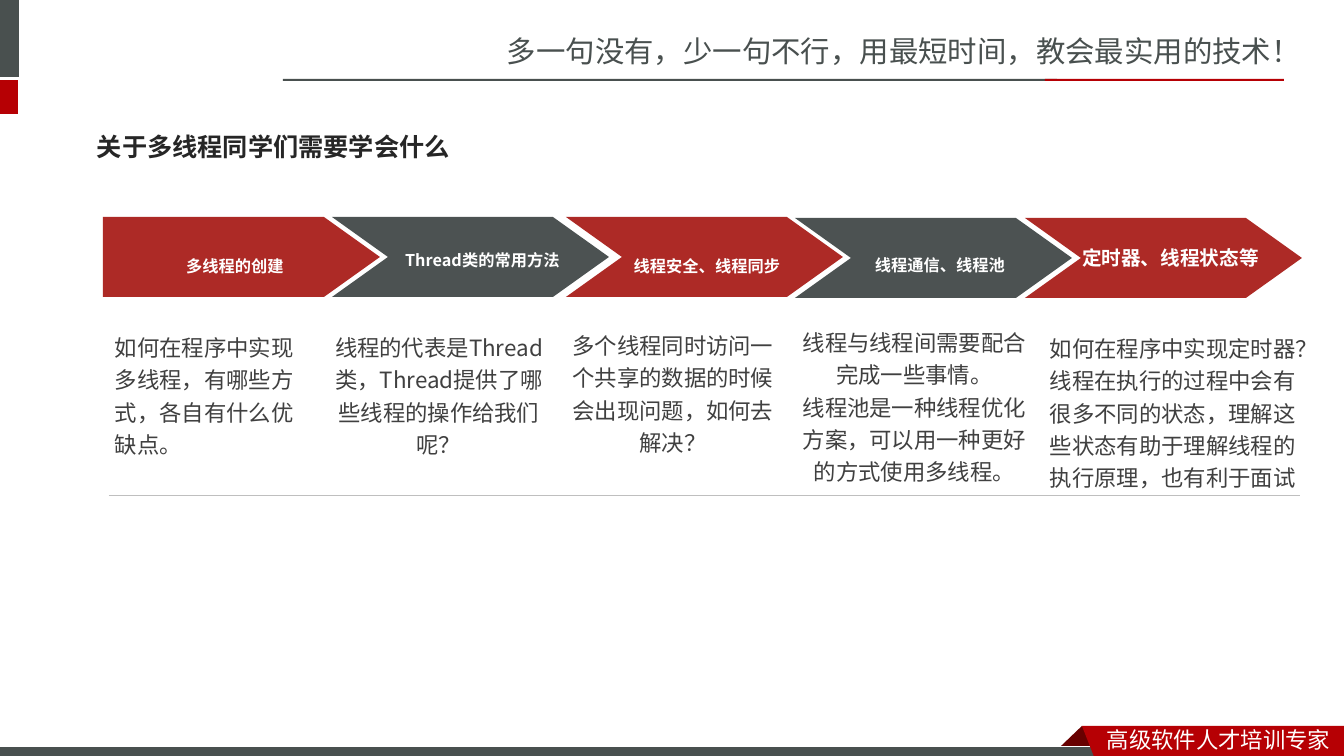
from pptx import Presentation
from pptx.dml.color import RGBColor
from pptx.enum import shapes, text
from pptx.util import Emu, Pt

PX = 914400 / 100.8
SLIDE_SIZE = (1344, 756)
COLORS = {
    "slate": "49504F", "red": "B60004", "maroon": "680000", "white": "FFFFFF",
    "step_red": "AD2A26", "step_grey": "4C5252", "body": "404040",
    "title": "262626", "rule": "BFBFBF",
}
SC, JP = "Noto Sans CJK SC", "Noto Sans CJK JP"
LEFT, CENTER = text.PP_ALIGN.LEFT, text.PP_ALIGN.CENTER
TOP, MIDDLE = text.MSO_ANCHOR.TOP, text.MSO_ANCHOR.MIDDLE

SLOGAN = ("多一句没有，少一句不行，用最短时间，教会最实用的技术！", (497, 28, 848, 47))
FOOTER = ("高级软件人才培训专家", (1097, 721, 247, 37))
TITLE = ("关于多线程同学们需要学会什么", (87, 118, 411, 57))

BARS = [
    ((-6, 0, 25, 77), "slate"),
    ((-6, 80, 24, 34), "red"),
    ((283, 79, 774, 2), "slate"),
    ((1045, 79, 239, 2), "red"),
]
FOOTER_BAR = (-1, 747, 1109, 12)
RIBBON_FOLD = [(1082, 726), (1104, 748), (1103, 749), (1060, 749), (1059, 748)]
RIBBON = [(1082, 726), (1344, 726), (1344, 760), (1095, 759)]
RULE = (109, 495, 1300, 495)

ARROW_HEIGHT, ARROW_BODY, ARROW_POINT = 80, 221, 56
STEPS = [
    {"arrow": (103, 217), "label": "多线程的创建", "label_box": (103, 239, 264, 36),
     "body": ["如何在程序中实现多线程，有哪些方式，各自有什么优缺点。"],
     "body_box": (105, 324, 214, 139), "align": LEFT},
    {"arrow": (332, 217), "label": "Thread类的常用方法", "label_box": (365, 238, 235, 33),
     "label_spacing": None,
     "body": ["线程的代表是Thread类，Thread提供了哪些线程的操作给我们呢？"],
     "body_box": (323, 324, 232, 139)},
    {"arrow": (566, 217), "label": "线程安全、线程同步", "label_box": (532, 239, 350, 36),
     "body": ["多个线程同时访问一个共享的数据的时候会出现问题，如何去解决？"],
     "body_box": (557, 322, 232, 139)},
    {"arrow": (795, 218), "label": "线程通信、线程池", "label_box": (765, 238, 350, 36),
     "body": ["线程与线程间需要配合完成一些事情。",
              "线程池是一种线程优化方案，可以用一种更好的方式使用多线程。"],
     "body_box": (790, 319, 249, 171)},
    {"arrow": (1025, 218), "label": "定时器、线程状态等", "label_box": (1053, 237, 235, 37),
     "label_size": 14, "baseline": None,
     "body": ["如何在程序中实现定时器？线程在执行的过程中会有很多不同的状态，"
              "理解这些状态有助于理解线程的执行原理，也有利于面试"],
     "body_box": (1040, 325, 277, 171), "align": LEFT},
]


def px(*lengths):
    return [Emu(round(length * PX)) for length in lengths]


def rgb(color):
    return RGBColor.from_string(COLORS[color])


def paint(shape, color, outline=None):
    shape.shadow.inherit = False
    shape.fill.solid()
    shape.fill.fore_color.rgb = rgb(color)
    if outline:
        shape.line.color.rgb = rgb(outline)
        shape.line.width = Pt(0.75)
    else:
        shape.line.fill.background()


def add_bar(slide, box, color, outline=None):
    bar = slide.shapes.add_shape(shapes.MSO_SHAPE.RECTANGLE, *px(*box))
    paint(bar, color, outline)


def add_outline(slide, points, color):
    builder = slide.shapes.build_freeform(*points[0], scale=PX)
    builder.add_line_segments(points[1:], close=True)
    paint(builder.convert_to_shape(), color)


def add_text(slide, lines, box, size, color, font=JP, east_asian=None, bold=False,
             align=LEFT, anchor=TOP, spacing=None, baseline=None):
    """Add a wrapped text box; baseline is an offset in thousandths of a percent."""
    frame = slide.shapes.add_textbox(*px(*box)).text_frame
    frame.word_wrap = True
    frame.vertical_anchor = anchor
    for i, line in enumerate(lines):
        paragraph = frame.paragraphs[0] if i == 0 else frame.add_paragraph()
        paragraph.alignment = align
        paragraph.line_spacing = spacing
        paragraph.font.size = Pt(size)
        paragraph.font.bold = bold
        paragraph.font.name = font
        paragraph.font.color.rgb = rgb(color)
        defaults = paragraph._p.get_or_add_pPr().get_or_add_defRPr()
        latin = defaults.find("{*}latin")
        ea = latin.makeelement(latin.tag.replace("latin", "ea"),
                               {"typeface": east_asian or font})
        latin.addnext(ea)
        run = paragraph.add_run()
        run.text = line
        if baseline:
            run._r.get_or_add_rPr().set("baseline", str(baseline))


def arrow_points(left, top, notched):
    shoulder = left + ARROW_BODY
    middle, bottom = top + ARROW_HEIGHT / 2, top + ARROW_HEIGHT
    points = [(left, top), (shoulder, top), (shoulder + ARROW_POINT, middle),
              (shoulder, bottom), (left, bottom)]
    return points + [(left + ARROW_POINT, middle)] if notched else points


def add_step(slide, index, step):
    color = "step_grey" if index % 2 else "step_red"
    add_outline(slide, arrow_points(*step["arrow"], notched=index > 0), color)
    add_text(slide, step["body"], step["body_box"], 16, "body",
             align=step.get("align", CENTER), spacing=1.2)


def add_step_label(slide, step):
    add_text(slide, [step["label"]], step["label_box"], step.get("label_size", 20),
             "white", bold=True, align=CENTER, anchor=MIDDLE,
             spacing=step.get("label_spacing", 1.2),
             baseline=step.get("baseline", -3000))


def add_rule(slide):
    rule = slide.shapes.add_connector(shapes.MSO_CONNECTOR.STRAIGHT, *px(*RULE))
    rule.line.color.rgb = rgb("rule")
    rule.line.width = Pt(0.25)
    properties = rule._element.spPr
    line_tag = properties.find("{*}ln").tag
    properties.append(properties.makeelement(line_tag.replace("}ln", "}effectLst"), {}))


def main():
    deck = Presentation()
    deck.slide_width, deck.slide_height = px(*SLIDE_SIZE)
    slide = deck.slides.add_slide(deck.slide_layouts[6])

    slogan, slogan_box = SLOGAN
    add_text(slide, [slogan], slogan_box, 21, "slate", font=SC)
    for box, color in BARS:
        add_bar(slide, box, color)
    add_outline(slide, RIBBON_FOLD, "maroon")
    add_bar(slide, FOOTER_BAR, "slate", outline="white")
    add_outline(slide, RIBBON, "red")
    footer, footer_box = FOOTER
    add_text(slide, [footer], footer_box, 16, "white", font=SC)

    for index, step in enumerate(STEPS):
        add_step(slide, index, step)
    for step in STEPS:
        add_step_label(slide, step)
    add_rule(slide)
    title, title_box = TITLE
    add_text(slide, [title], title_box, 18, "title", font="Courier New", east_asian=SC,
             bold=True, anchor=MIDDLE)
    deck.save("out.pptx")


if __name__ == "__main__":
    main()
